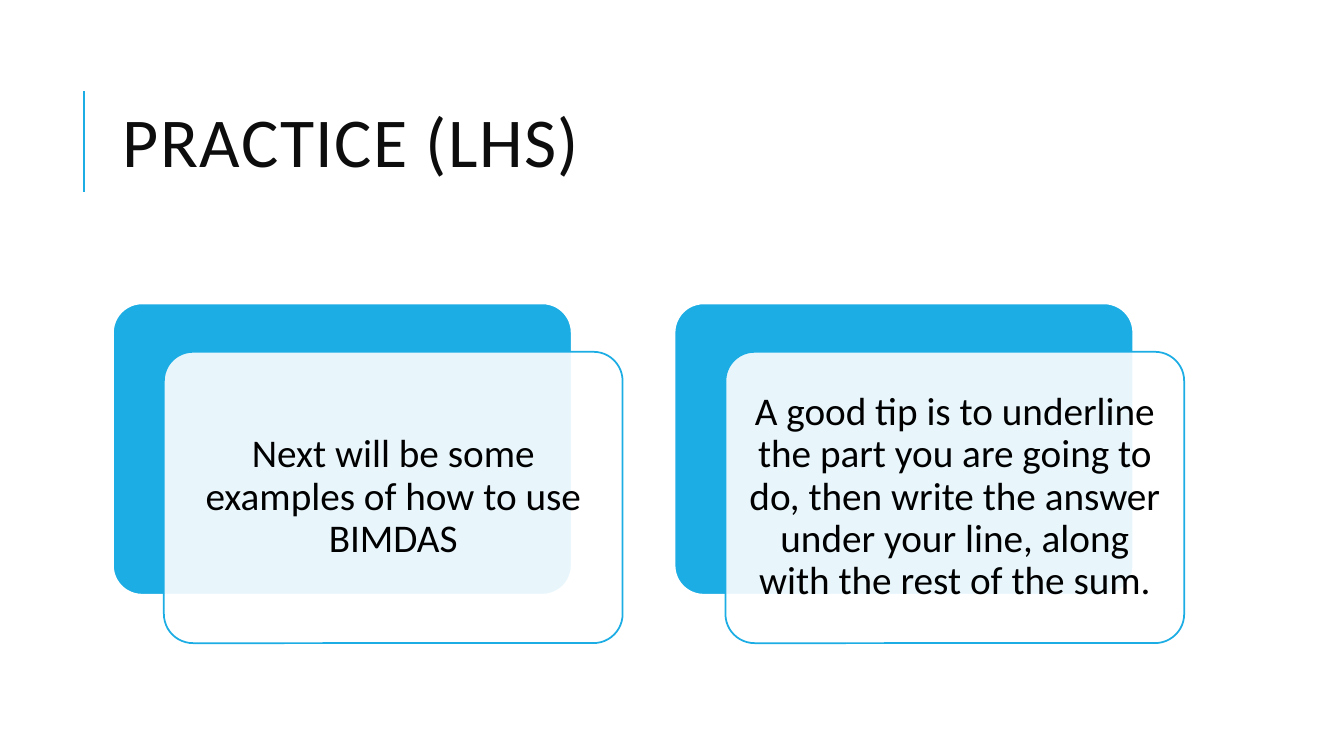
"""Build the practice slide with two layered tip cards."""
from dataclasses import dataclass

import lxml.etree
import pptx
import pptx.dml.color
import pptx.enum.shapes
import pptx.enum.text
import pptx.oxml.ns
import pptx.shapes.autoshape
import pptx.slide
import pptx.text.text
import pptx.util

Inches = pptx.util.Inches
Pt = pptx.util.Pt
RGBColor = pptx.dml.color.RGBColor
qn = pptx.oxml.ns.qn


@dataclass(frozen=True)
class Theme:
    accent: RGBColor = RGBColor(0x1C, 0xAD, 0xE4)
    white: RGBColor = RGBColor(0xFF, 0xFF, 0xFF)
    heading: RGBColor = RGBColor(0x0D, 0x0D, 0x0D)
    body: RGBColor = RGBColor(0, 0, 0)
    font: str = "Calibri"
    heading_size: int = 50
    body_size: int = 28
    card_opacity: int = 90


@dataclass(frozen=True)
class Card:
    left: float
    message: str


THEME = Theme()
CARD_TOP, CARD_WIDTH, CARD_HEIGHT = 3.01, 4.55, 2.89
FRONT_SHIFT_X, FRONT_SHIFT_Y = 0.505, 0.48
CARD_INSET = 0.12
CARDS = (
    Card(1.12, "Next will be some examples of how to use BIMDAS"),
    Card(6.69, "A good tip is to underline the part you are going to do, then write "
               "the answer under your line, along with the rest of the sum."),
)


def write(frame: pptx.text.text.TextFrame, text: str, size: int,
          color: RGBColor, spacing: float) -> pptx.text.text._Paragraph:
    frame.text = text
    frame.word_wrap = True
    frame.vertical_anchor = pptx.enum.text.MSO_ANCHOR.MIDDLE
    paragraph = frame.paragraphs[0]
    paragraph.line_spacing = spacing
    font = paragraph.runs[0].font
    font.name, font.size = THEME.font, Pt(size)
    font.color.rgb = color
    return paragraph


def add_heading(slide: pptx.slide.Slide, text: str) -> None:
    rule = slide.shapes.add_connector(
        pptx.enum.shapes.MSO_CONNECTOR.STRAIGHT,
        Inches(0.83), Inches(1.9), Inches(0.83), Inches(0.9))
    rule.line.color.rgb = THEME.accent
    rule.line.width = Pt(1.5)
    lxml.etree.SubElement(rule._element.spPr, qn("a:effectLst"))

    heading = slide.shapes.add_textbox(Inches(1.12), Inches(0.64), Inches(10.63), Inches(1.64))
    paragraph = write(heading.text_frame, text, THEME.heading_size, THEME.heading, 0.8)
    paragraph.runs[0].font._element.set("spc", "100")


def add_panel(slide: pptx.slide.Slide, left: float, top: float, fill: RGBColor,
              outline: RGBColor) -> pptx.shapes.autoshape.Shape:
    panel = slide.shapes.add_shape(
        pptx.enum.shapes.MSO_SHAPE.ROUNDED_RECTANGLE,
        Inches(left), Inches(top), Inches(CARD_WIDTH), Inches(CARD_HEIGHT))
    panel.adjustments[0] = 0.1
    panel.shadow.inherit = False
    panel.fill.solid()
    panel.fill.fore_color.rgb = fill
    panel.line.color.rgb = outline
    panel.line.width = Pt(1.25)
    return panel


def add_card(slide: pptx.slide.Slide, card: Card) -> None:
    add_panel(slide, card.left, CARD_TOP, THEME.accent, THEME.white)
    front = add_panel(slide, card.left + FRONT_SHIFT_X, CARD_TOP + FRONT_SHIFT_Y,
                      THEME.white, THEME.accent)
    fill_color = front._element.spPr.find(qn("a:solidFill")).find(qn("a:srgbClr"))
    lxml.etree.SubElement(fill_color, qn("a:alpha"), val=str(THEME.card_opacity * 1000))

    frame = front.text_frame
    frame.margin_left = frame.margin_right = Inches(CARD_INSET)
    frame.margin_top = frame.margin_bottom = Inches(CARD_INSET)
    message = write(frame, card.message, THEME.body_size, THEME.body, 0.9)
    message.alignment = pptx.enum.text.PP_ALIGN.CENTER


def main() -> None:
    deck = pptx.Presentation()
    deck.slide_width, deck.slide_height = Inches(13.33), Inches(7.5)
    slide = deck.slides.add_slide(deck.slide_layouts[6])
    add_heading(slide, "PRACTICE (LHS)")
    for card in CARDS:
        add_card(slide, card)
    deck.save("out.pptx")


if __name__ == "__main__":
    main()
